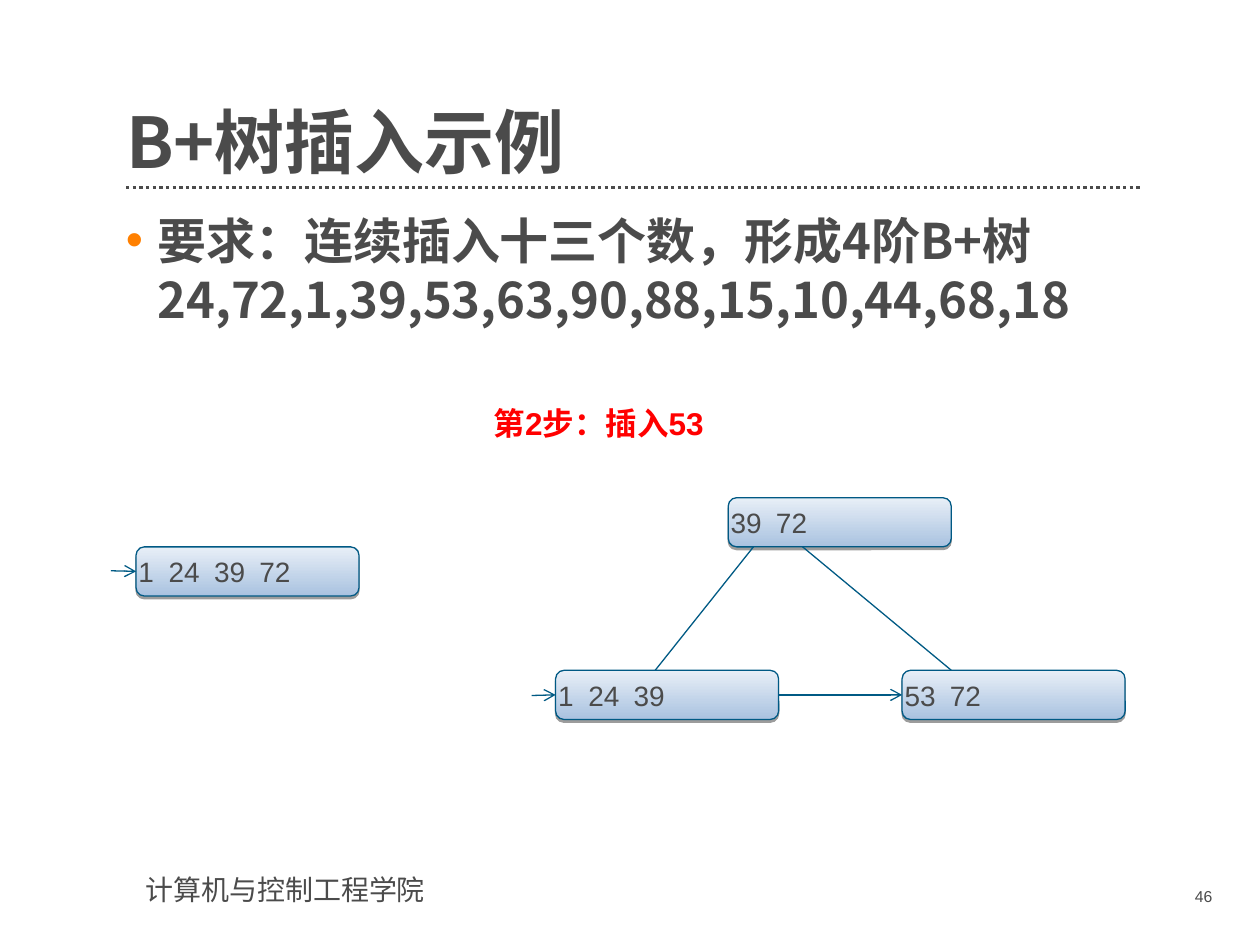
"""Builds a slide on one step of inserting keys into a B+ tree."""
import pptx
import pptx.util
import pptx.dml.color
import pptx.enum.dml
import pptx.enum.shapes
import pptx.enum.text
import pptx.oxml
import pptx.oxml.ns
from lxml import etree

Inches = pptx.util.Inches
Pt = pptx.util.Pt
RGBColor = pptx.dml.color.RGBColor
Align = pptx.enum.text.PP_ALIGN
Anchor = pptx.enum.text.MSO_ANCHOR
qn = pptx.oxml.ns.qn

GREY = RGBColor(0x4B, 0x4B, 0x4B)
RED = RGBColor(0xFF, 0x00, 0x00)
EDGE = RGBColor(0x00, 0x59, 0x84)
LINK = RGBColor(0x00, 0x5A, 0x84)
DARK = RGBColor(0xA9, 0xC2, 0xE0)
PALE = RGBColor(0xE8, 0xEF, 0xF7)
ORANGE = RGBColor(0xFF, 0x80, 0x00)
CJK = "Noto Sans CJK SC"
DIGIT = 0.12


def add(parent, tag, **attrs):
    """Append a drawing element to a parent and return it."""
    return etree.SubElement(parent, qn(tag), attrs)


def write(shape, text, size=16, face="Arial", color=GREY, bold=False,
          align=Align.LEFT, anchor=Anchor.TOP, pad=(0.1, 0.05, 0.1, 0.05),
          lead=None, dot=None, stops=()):
    """Put one formatted paragraph in a shape."""
    frame = shape.text_frame
    frame.word_wrap = True
    frame.auto_size = pptx.enum.text.MSO_AUTO_SIZE.NONE
    frame.vertical_anchor = anchor
    (frame.margin_left, frame.margin_top,
     frame.margin_right, frame.margin_bottom) = map(Inches, pad)
    para = frame.paragraphs[0]
    para.alignment = align
    if lead:
        para.line_spacing = lead
    props = para._p.get_or_add_pPr()
    if dot:
        props.set("marL", str(Inches(0.25)))
        props.set("indent", str(Inches(-0.25)))
        add(add(props, "a:buClr"), "a:srgbClr", val=str(dot))
        add(props, "a:buFont", typeface="Arial")
        add(props, "a:buChar", char="•")
    if stops:
        tabs = add(props, "a:tabLst")
        for stop in stops:
            add(tabs, "a:tab", pos=str(Inches(stop)), algn="l")
    run = para.add_run()
    run.text = text
    font = run.font
    font.size, font.name, font.bold = Pt(size), face, bold
    font.color.rgb = color
    add(run._r.get_or_add_rPr(), "a:ea", typeface=CJK)


class Board:
    """Hold the style and the current slide."""

    def __init__(self, deck):
        self.slide = deck.slides.add_slide(deck.slide_layouts[5])
        self.shapes = self.slide.shapes

    def title(self, text, *box, **style):
        """Place and fill the title."""
        shape = self.shapes.title
        shape.left, shape.top, shape.width, shape.height = map(Inches, box)
        write(shape, text, **style)

    def text(self, text, *box, **style):
        """Add a text box."""
        write(self.shapes.add_textbox(*map(Inches, box)), text, **style)

    def node(self, keys, left, top):
        """Add a tree node with its keys."""
        shape = self.shapes.add_shape(
            pptx.enum.shapes.MSO_SHAPE.ROUNDED_RECTANGLE,
            *map(Inches, (left, top, 1.77, 0.39)))
        shape.adjustments[0] = 0.17
        shape.fill.gradient()
        shape.fill.gradient_angle = 90
        for stop, color, place in zip(shape.fill.gradient_stops,
                                      (DARK, PALE), (0, 1)):
            stop.color.rgb, stop.position = color, place
        shape.line.color.rgb, shape.line.width = EDGE, Pt(0.75)
        shape.shadow.inherit = False
        effect = shape._element.spPr.find(qn("a:effectLst"))
        shade = add(effect, "a:outerShdw", blurRad="0", dist=str(Pt(1.6)),
                    dir="5400000", rotWithShape="0")
        add(add(shade, "a:srgbClr", val="000000"), "a:alpha", val="38000")
        stops, spot = [], 0
        for key in keys[:-1]:
            spot += DIGIT * (len(str(key)) + 1)
            stops.append(spot)
        write(shape, "\t".join(map(str, keys)), anchor=Anchor.MIDDLE,
              pad=(0, 0, 0.2, 0), stops=stops)
        return shape

    def line(self, *ends, color=LINK, width=0.75, arrow=False,
             start=None, goal=None):
        """Add a line, joined to the nodes at its ends if given."""
        wire = self.shapes.add_connector(
            pptx.enum.shapes.MSO_CONNECTOR.STRAIGHT, *map(Inches, ends))
        wire.line.color.rgb, wire.line.width = color, Pt(width)
        add(wire._element.spPr, "a:effectLst")
        if arrow:
            add(wire.line._get_or_add_ln(), "a:tailEnd", type="arrow")
        if start:
            wire.begin_connect(start, 3)
        if goal:
            wire.end_connect(goal, 1)
        return wire


def main():
    """Draw the slide and save it."""
    deck = pptx.Presentation()
    deck.slide_width, deck.slide_height = Inches(10), Inches(7.5)
    board = Board(deck)
    rule = board.line(1, 1.49, 9.06, 1.49, color=GREY, width=1.9)
    rule.line.dash_style = pptx.enum.dml.MSO_LINE.ROUND_DOT
    board.text("计算机与控制工程学院", 1.06, 6.88, 2.76, 0.37)
    board.title("B+树插入示例", 1, 0.55, 8.06, 0.91, size=40, face=CJK,
                bold=True, anchor=Anchor.BOTTOM, pad=(0, 0, 0, 0), lead=0.9)
    board.text("要求：连续插入十三个数，形成4阶B+树"
               "24,72,1,39,53,63,90,88,15,10,44,68,18",
               1, 1.67, 8.06, 5, size=28, face=CJK, bold=True,
               pad=(0, 0, 0.2, 0), dot=ORANGE)
    board.text("46", 8.73, 6.99, 0.99, 0.29, size=9, align=Align.RIGHT)
    board.text("第2步：插入53", 3.82, 3.16, 3.73, 0.4, size=18,
               color=RED, bold=True)

    old = board.node((1, 24, 39, 72), 1.08, 4.34)
    left = board.node((1, 24, 39), 4.41, 5.32)
    right = board.node((53, 72), 7.16, 5.32)
    board.node((39, 72), 5.78, 3.95)
    board.line(0.88, 4.53, 1.08, 4.53, arrow=True, goal=old)
    board.line(4.22, 5.52, 4.41, 5.52, arrow=True, goal=left)
    board.line(6.18, 5.52, 7.16, 5.52, arrow=True, start=left, goal=right)
    board.line(5.98, 4.34, 5.2, 5.32)
    board.line(6.37, 4.34, 7.55, 5.32)
    deck.save("out.pptx")


if __name__ == "__main__":
    main()
